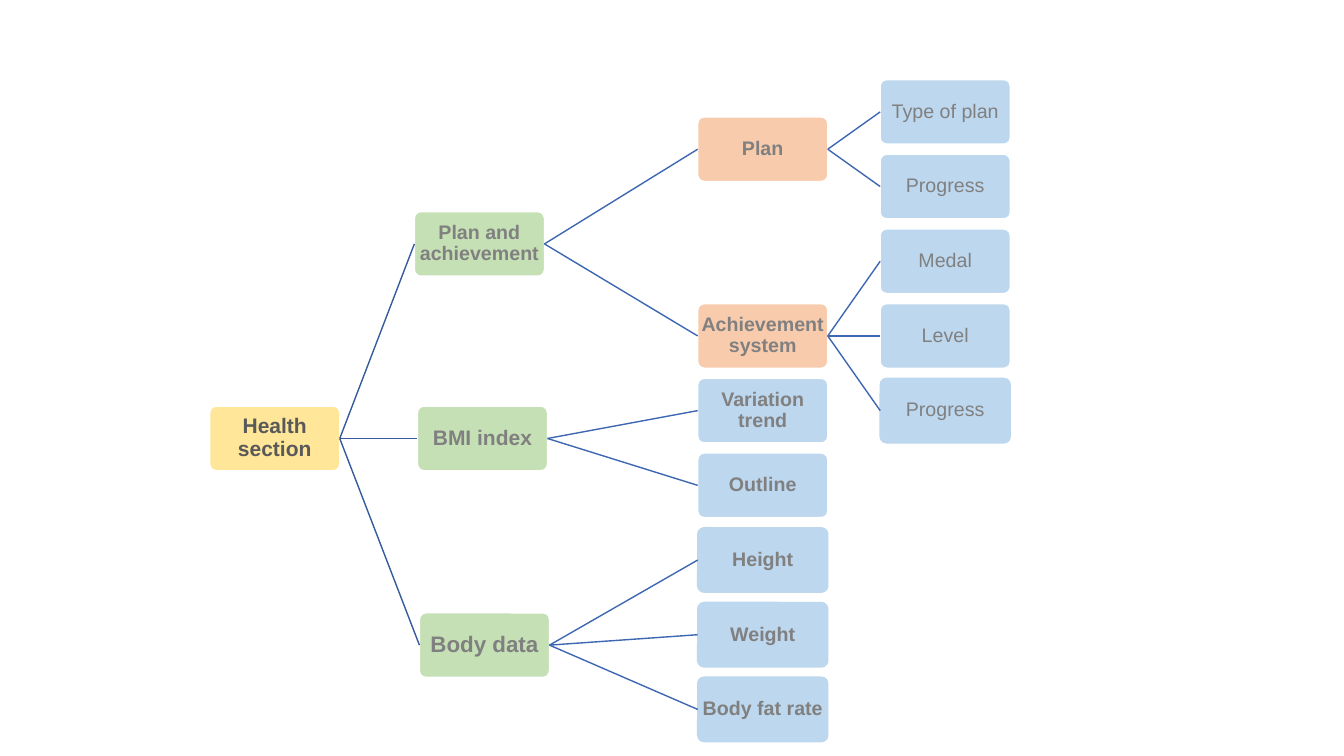
from lxml import etree
from pptx import Presentation
from pptx.dml.color import RGBColor
from pptx.enum.shapes import MSO_CONNECTOR, MSO_SHAPE
from pptx.enum.text import MSO_ANCHOR, PP_ALIGN
from pptx.oxml.ns import qn
from pptx.util import Inches, Pt

ROUNDED = MSO_SHAPE.ROUNDED_RECTANGLE
STRAIGHT = MSO_CONNECTOR.STRAIGHT
MIDDLE = MSO_ANCHOR.MIDDLE
CENTER = PP_ALIGN.CENTER
LEFT_SITE, RIGHT_SITE = 1, 3

COLORS = {
    "yellow": "FFE699", "green": "C5E0B4", "orange": "F8CBAD", "blue": "BDD7EE",
    "white": "FFFFFF", "dark": "595959", "gray": "808080",
    "root_link": "365B9D", "link": "3E67B2",
}
BOX_W, BOX_H = 1.29, 0.64
FIRST_TOP, ROW_PITCH = 0.79, 0.741
GROUP_LEFT, DETAIL_LEFT = 6.92, 8.73

# Branch: label, left, top, font size, children.
# Child: label, row, fill, outline, grandchildren as (label, row, outline).
BRANCHES = [
    ("Plan and achievement", 4.11, 2.1, 14, [
        ("Plan", 0.5, "orange", "white", [
            ("Type of plan", 0, "white"), ("Progress", 1, "white")]),
        ("Achievement system", 3, "orange", "white", [
            ("Medal", 2, "white"), ("Level", 3, "white"), ("Progress", 4, "blue")]),
    ]),
    ("BMI index", 4.14, 4.03, 15, [
        ("Variation trend", 4, "blue", "white", []),
        ("Outline", 5, "blue", "white", []),
    ]),
    ("Body data", 4.16, 6.08, 16, [
        ("Height", 6, "blue", "blue", []),
        ("Weight", 7, "blue", "blue", []),
        ("Body fat rate", 8, "blue", "blue", []),
    ]),
]


def rgb(name):
    """Return the named colour."""
    return RGBColor.from_string(COLORS[name])


def row_top(row):
    """Return the top of a box in the evenly spaced rows."""
    return FIRST_TOP + row * ROW_PITCH


def add_box(shapes, label, left, top, fill, outline="white", size=14,
            bold=True, color="gray"):
    """Add a rounded box with a centred label."""
    sp = shapes.add_shape(ROUNDED, Inches(left), Inches(top),
                          Inches(BOX_W), Inches(BOX_H))
    sp.adjustments[0] = 0.1
    sp.shadow.inherit = False
    sp.fill.solid()
    sp.fill.fore_color.rgb = rgb(fill)
    sp.line.color.rgb = rgb(outline)
    sp.line.width = Pt(1)
    tf = sp.text_frame
    tf.word_wrap = True
    tf.vertical_anchor = MIDDLE
    tf.margin_left = tf.margin_right = Inches(0.01)
    tf.margin_top = tf.margin_bottom = Inches(0.01)
    p = tf.paragraphs[0]
    p.text = label
    p.alignment = CENTER
    p.line_spacing = 0.9
    p.font.name = "Arial"
    p.font.size = Pt(size)
    p.font.bold = bold
    p.font.color.rgb = rgb(color)
    return sp


def add_link(shapes, parent, child, color="link"):
    """Connect the right side of parent to the left side of child."""
    cxn = shapes.add_connector(
        STRAIGHT, parent.left + parent.width, parent.top + parent.height // 2,
        child.left, child.top + child.height // 2)
    cxn.begin_connect(parent, RIGHT_SITE)
    cxn.end_connect(child, LEFT_SITE)
    cxn.line.color.rgb = rgb(color)
    cxn.line.width = Pt(1)
    etree.SubElement(cxn._element.spPr, qn("a:effectLst"))


def add_tree(shapes):
    """Add the root and all its branches."""
    root = add_box(shapes, "Health section", 2.08, 4.03, "yellow",
                   size=15, color="dark")
    for label, left, top, size, groups in BRANCHES:
        branch = add_box(shapes, label, left, top, "green", size=size)
        add_link(shapes, root, branch, "root_link")
        for name, row, fill, outline, details in groups:
            group = add_box(shapes, name, GROUP_LEFT, row_top(row), fill, outline)
            add_link(shapes, branch, group)
            for detail, detail_row, edge in details:
                leaf = add_box(shapes, detail, DETAIL_LEFT, row_top(detail_row),
                               "blue", edge, bold=False)
                add_link(shapes, group, leaf)


def main():
    """Build the slide and save it."""
    prs = Presentation()
    prs.slide_width, prs.slide_height = Inches(13.33), Inches(7.5)
    s = prs.slides.add_slide(prs.slide_layouts[6])
    add_tree(s.shapes.add_group_shape().shapes)
    prs.save("out.pptx")


main()
